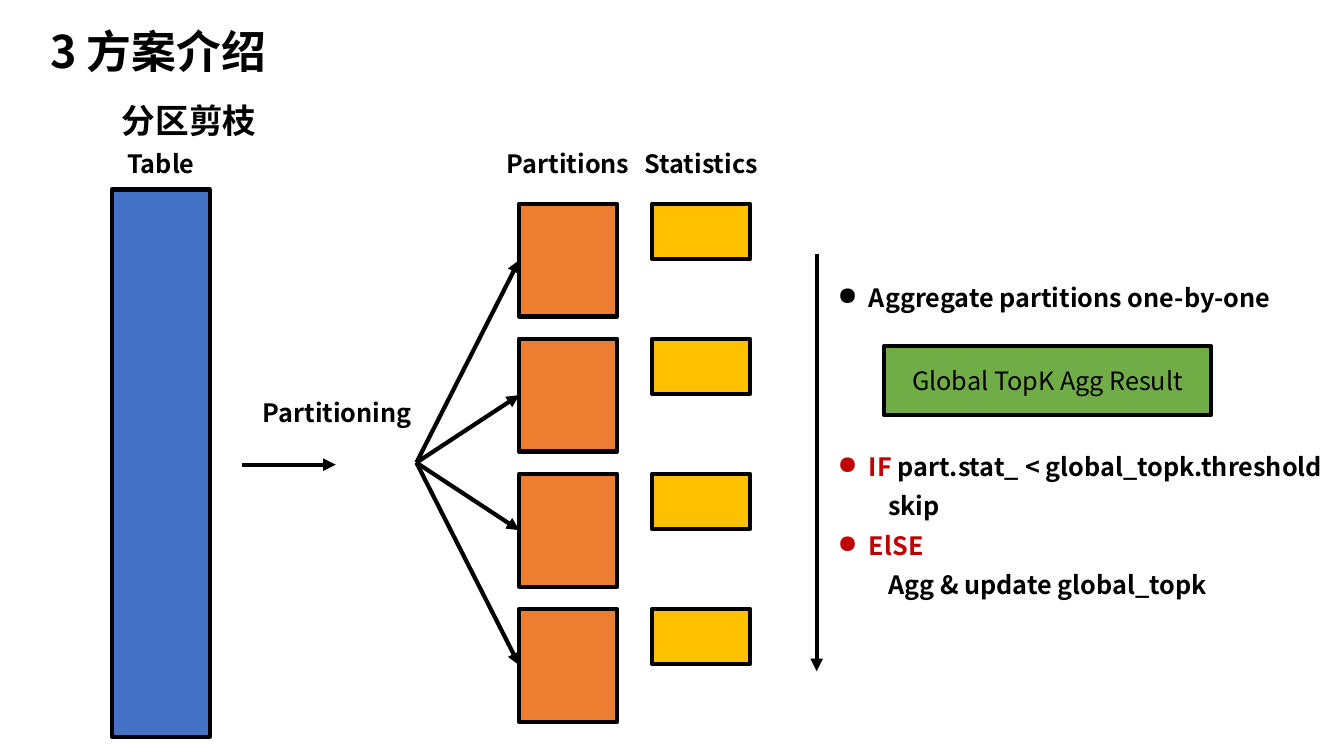
"""Build the partition pruning slide: a table split into partitions with statistics."""
from dataclasses import dataclass

import pptx
import pptx.dml.color
import pptx.enum.shapes
import pptx.enum.text
import pptx.oxml
import pptx.oxml.ns
import pptx.util
from pptx.util import Inches

FONT = "Noto Sans CJK SC"
COLORS = {
    "black": "000000",
    "red": "C00000",
    "table": "4472C4",
    "partition": "ED7D31",
    "statistics": "FFC000",
    "result": "70AD47",
}
LINE_WIDTH = 3
LABEL_TOP, LABEL_WIDTH, LABEL_HEIGHT = 1.42, 1.79, 0.4
BLOCK_WIDTH = 0.97
PARTITION_COUNT, PARTITION_TOP, PARTITION_PITCH = 4, 2.02, 1.34
PARTITION_LEFT, PARTITION_HEIGHT = 5.15, 1.12
STATISTICS_LEFT, STATISTICS_HEIGHT = 6.47, 0.55
FAN_START = (4.13, 4.59)


@dataclass(frozen=True)
class Box:
    left: float
    top: float
    width: float
    height: float

    def lengths(self) -> tuple:
        return tuple(Inches(v) for v in (self.left, self.top, self.width, self.height))


@dataclass(frozen=True)
class Run:
    text: str
    color: str = "black"
    size: int = 18
    bold: bool = True


@dataclass(frozen=True)
class Line:
    runs: tuple[Run, ...]
    centered: bool = False
    bullet: bool = False
    level: int = 0
    spacing: float = 1.0


@dataclass(frozen=True)
class Note:
    box: Box
    lines: tuple[Line, ...]


@dataclass(frozen=True)
class Arrow:
    start: tuple[float, float]
    end: tuple[float, float]


def label(text: str, left: float, top: float = LABEL_TOP) -> Note:
    box = Box(left, top, LABEL_WIDTH, LABEL_HEIGHT)
    return Note(box, (Line((Run(text),), centered=True),))


NOTES = (
    Note(Box(0.4, 0.19, 3.51, 0.64), (Line((Run("3 方案介绍", size=32),)),)),
    Note(Box(1.11, 0.86, 1.58, 0.54), (Line((Run("分区剪枝", size=24),), spacing=1.2),)),
    label("Table", 0.7),
    label("Partitioning", 2.45, 3.89),
    label("Partitions", 4.74),
    label("Statistics", 6.06),
    Note(
        Box(8.21, 2.75, 4.86, 0.4),
        (Line((Run("Aggregate partitions one-by-one"),), bullet=True),),
    ),
    Note(
        Box(8.21, 4.34, 5.12, 1.64),
        (
            Line(
                (Run("IF", "red"), Run(" part.stat_ < global_topk.threshold")),
                bullet=True,
                spacing=1.3,
            ),
            Line((Run("skip"),), level=1, spacing=1.3),
            Line((Run("ElSE", "red"),), bullet=True, spacing=1.3),
            Line((Run("Agg & update global_topk"),), level=1, spacing=1.3),
        ),
    ),
)
ARROWS = (Arrow((2.4, 4.61), (3.33, 4.61)), Arrow((8.1, 2.52), (8.1, 6.66)))


def rgb(color: str) -> pptx.dml.color.RGBColor:
    return pptx.dml.color.RGBColor.from_string(COLORS[color])


def write_lines(text_frame, lines: tuple[Line, ...]) -> None:
    text_frame.word_wrap = True
    for index, line in enumerate(lines):
        paragraph = text_frame.add_paragraph() if index else text_frame.paragraphs[0]
        paragraph.level = line.level
        properties = paragraph._p.get_or_add_pPr()
        if line.bullet:
            properties.set("marL", str(Inches(0.31)))
            properties.set("indent", str(Inches(-0.31)))
            bullet = pptx.oxml.parse_xml(
                f'<a:buChar {pptx.oxml.ns.nsdecls("a")} char="●"/>'
            )
            properties.append(bullet)
        elif line.level:
            properties.set("marL", str(Inches(0.5)))
            properties.set("indent", "0")
        paragraph.line_spacing = line.spacing
        paragraph.alignment = (
            pptx.enum.text.PP_ALIGN.CENTER if line.centered else pptx.enum.text.PP_ALIGN.LEFT
        )
        for item in line.runs:
            run = paragraph.add_run()
            run.text = item.text
            run.font.size = pptx.util.Pt(item.size)
            run.font.bold = item.bold
            run.font.color.rgb = rgb(item.color)
            run.font.name = FONT
            east_asian = pptx.oxml.parse_xml(
                f'<a:ea {pptx.oxml.ns.nsdecls("a")} typeface="{FONT}"/>'
            )
            run.font._element.find(pptx.oxml.ns.qn("a:latin")).addnext(east_asian)


def add_note(slide, note: Note) -> None:
    shape = slide.shapes.add_textbox(*note.box.lengths())
    write_lines(shape.text_frame, note.lines)


def add_block(slide, box: Box, color: str):
    shape = slide.shapes.add_shape(
        pptx.enum.shapes.MSO_SHAPE.RECTANGLE, *box.lengths()
    )
    shape.shadow.inherit = False
    shape.fill.solid()
    shape.fill.fore_color.rgb = rgb(color)
    shape.line.color.rgb = rgb("black")
    shape.line.width = pptx.util.Pt(LINE_WIDTH)
    return shape


def add_arrow(slide, arrow: Arrow):
    connector = slide.shapes.add_connector(
        pptx.enum.shapes.MSO_CONNECTOR.STRAIGHT,
        *(Inches(v) for v in arrow.start + arrow.end),
    )
    connector.line.color.rgb = rgb("black")
    connector.line.width = pptx.util.Pt(LINE_WIDTH)
    namespace = pptx.oxml.ns.nsdecls("a")
    head = pptx.oxml.parse_xml(f'<a:tailEnd {namespace} type="triangle"/>')
    connector.line._get_or_add_ln().append(head)
    connector._element.spPr.append(pptx.oxml.parse_xml(f"<a:effectLst {namespace}/>"))
    return connector


def main() -> None:
    presentation = pptx.Presentation()
    presentation.slide_width = Inches(13.33)
    presentation.slide_height = Inches(7.5)
    slide = presentation.slides.add_slide(presentation.slide_layouts[6])

    add_block(slide, Box(1.11, 1.88, BLOCK_WIDTH, 5.43), "table")
    for index in range(PARTITION_COUNT):
        top = PARTITION_TOP + index * PARTITION_PITCH
        partition = add_block(
            slide, Box(PARTITION_LEFT, top, BLOCK_WIDTH, PARTITION_HEIGHT), "partition"
        )
        add_block(
            slide, Box(STATISTICS_LEFT, top, BLOCK_WIDTH, STATISTICS_HEIGHT), "statistics"
        )
        target = (PARTITION_LEFT, top + PARTITION_HEIGHT / 2)
        add_arrow(slide, Arrow(FAN_START, target)).end_connect(partition, 1)
    for arrow in ARROWS:
        add_arrow(slide, arrow)

    result = add_block(slide, Box(8.77, 3.43, 3.24, 0.69), "result")
    result.text_frame.vertical_anchor = pptx.enum.text.MSO_ANCHOR.MIDDLE
    write_lines(
        result.text_frame,
        (Line((Run("Global TopK Agg Result", bold=False),), centered=True),),
    )
    for note in NOTES:
        add_note(slide, note)
    presentation.save("out.pptx")


if __name__ == "__main__":
    main()
